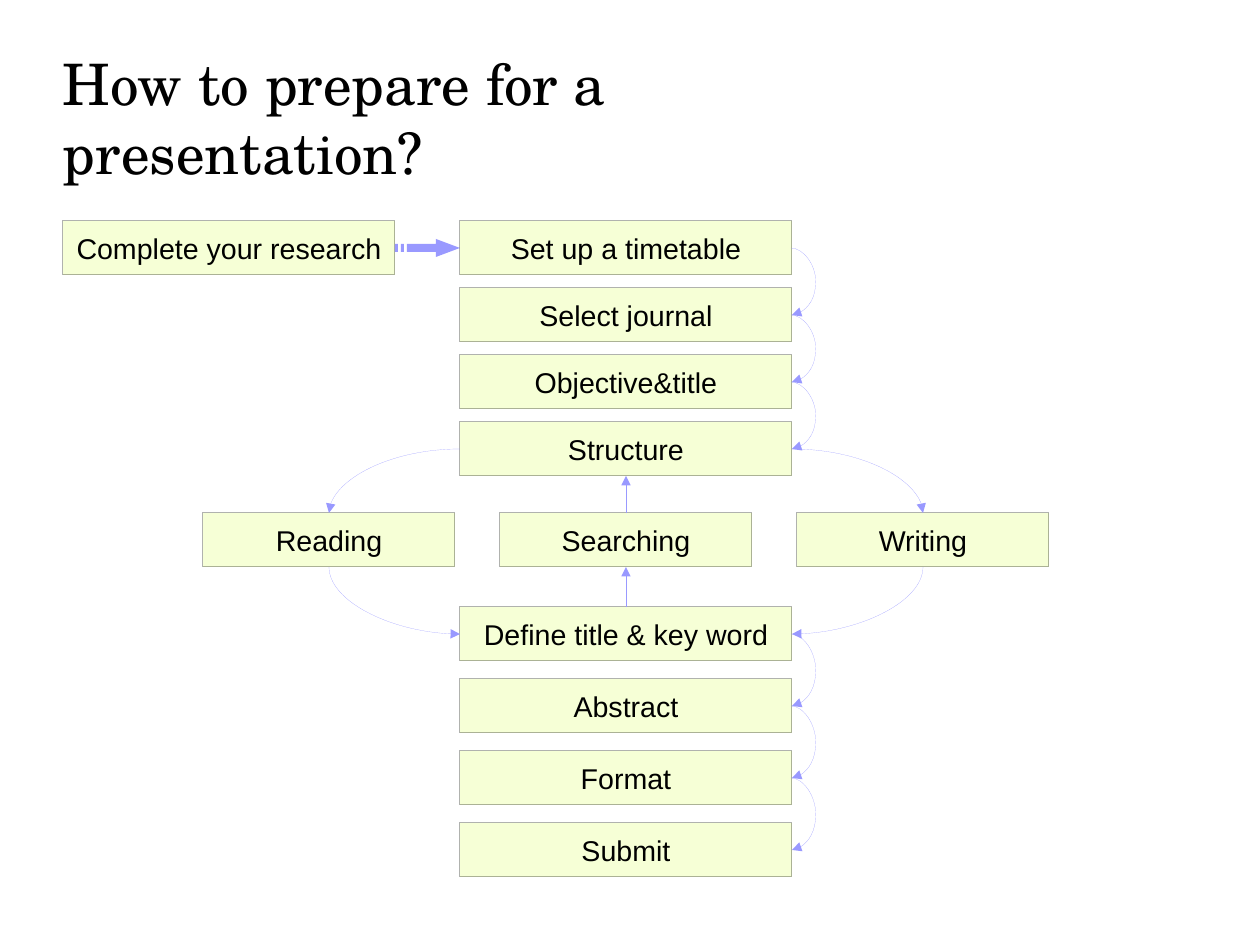
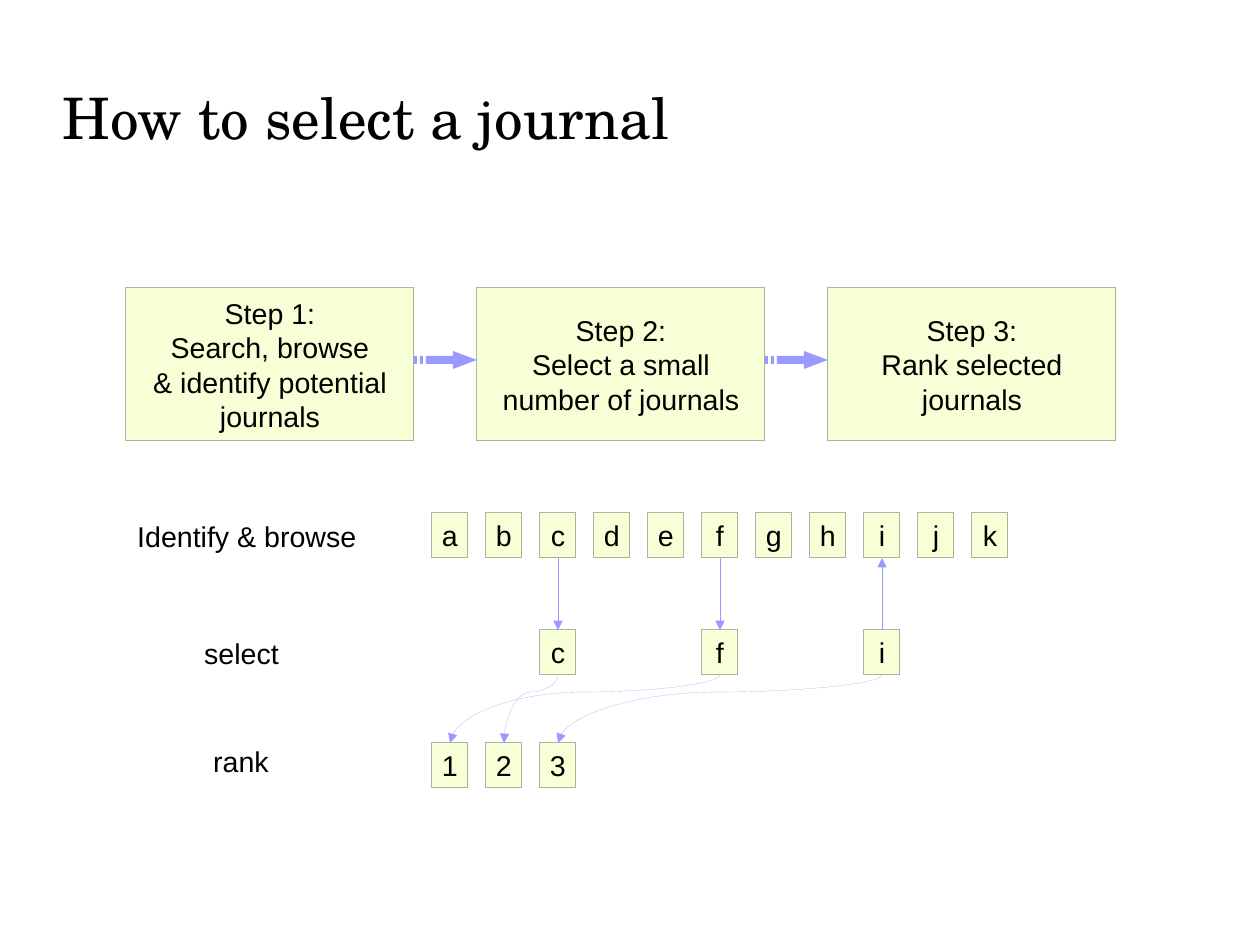
from itertools import pairwise

from lxml.etree import SubElement
from pptx import Presentation
from pptx.dml.color import RGBColor
from pptx.enum.shapes import MSO_CONNECTOR, MSO_SHAPE
from pptx.enum.text import MSO_ANCHOR, MSO_AUTO_SIZE, PP_ALIGN
from pptx.oxml.ns import qn
from pptx.util import Emu, Pt

SCALE = 8000
SLIDE_WIDTH, SLIDE_HEIGHT = 1260, 945
TITLE_LEFT, TITLE_MIDDLE, TITLE_WIDTH = 63, 117, 900
LIME, INK, LILAC = "CCFF00", "000000", "9999FF"
TITLE_FONT, BODY_FONT = "TeX Gyre Schola", "Arial"
TOP, LEFT, BOTTOM, RIGHT = range(4)


def px(length):
    """Turn px into EMU."""
    return Emu(round(length * SCALE))


def paint(fill, colour, opacity=100):
    """Fill with a hex colour at an opacity in percent."""
    fill.solid()
    fill.fore_color.rgb = RGBColor.from_string(colour)
    if opacity < 100:
        tint = fill._xPr.find(".//" + qn("a:srgbClr"))
        SubElement(tint, qn("a:alpha"), val=str(opacity * 1000))


def hairline(line, colour, opacity=100):
    """Draw a line as thin as the device allows."""
    paint(line.fill, colour, opacity)
    line._ln.set("w", "0")


def write(frame, text, font=BODY_FONT, size=18, align=PP_ALIGN.CENTER,
          anchor=MSO_ANCHOR.MIDDLE, wrap=False, inset=None, grow=False):
    """Write one paragraph per line of text and format it."""
    frame.text = text
    frame.word_wrap = wrap
    frame.vertical_anchor = anchor
    frame.auto_size = MSO_AUTO_SIZE.SHAPE_TO_FIT_TEXT if grow else MSO_AUTO_SIZE.NONE
    if inset is not None:
        frame.margin_left = frame.margin_right = px(inset)
        frame.margin_top = frame.margin_bottom = px(inset)
    for paragraph in frame.paragraphs:
        paragraph.alignment = align
        paragraph.font.name = font
        paragraph.font.size = Pt(size)
        paragraph.font.color.rgb = RGBColor.from_string(INK)


def titled_slide(deck, title, height):
    """Add a title-only slide with its title centred on the title line."""
    slide = deck.slides.add_slide(deck.slide_layouts[5])
    heading = slide.shapes.title
    heading.left, heading.top = px(TITLE_LEFT), px(TITLE_MIDDLE - height / 2)
    heading.width, heading.height = px(TITLE_WIDTH), px(height)
    write(heading.text_frame, title, font=TITLE_FONT, size=36, align=PP_ALIGN.LEFT,
          wrap=True, inset=0, grow=True)
    return slide


def process(slide, text, left, top, width, height):
    """Add a pale process box."""
    box = slide.shapes.add_shape(MSO_SHAPE.FLOWCHART_PROCESS, px(left), px(top),
                                 px(width), px(height))
    box.shadow.inherit = False
    paint(box.fill, LIME, 16)
    hairline(box.line, INK, 30)
    write(box.text_frame, text)
    return box


def label(slide, text, left, top, width, height):
    """Add a row label."""
    caption = slide.shapes.add_textbox(px(left), px(top), px(width), px(height))
    write(caption.text_frame, text, align=PP_ALIGN.LEFT, anchor=MSO_ANCHOR.TOP,
          wrap=True, grow=True)


def striped_arrow(slide, left, middle, width):
    """Add a right arrow, 18 px high, with two stripes at its tail."""
    neck = width - 24
    head = [(neck, -9), (width, 0), (neck, 9), (neck, 4), (12, 4), (12, -4), (neck, -4)]
    stripes = [[(x, -4), (x, 4), (x + 3, 4), (x + 3, -4)] for x in (0, 6)]
    builder = slide.shapes.build_freeform(*head[0], scale=float(SCALE))
    builder.add_line_segments(head[1:], close=True)
    for stripe in stripes:
        builder.move_to(*stripe[0])
        builder.add_line_segments(stripe[1:], close=True)
    arrow = builder.convert_to_shape(px(left), px(middle))
    arrow.shadow.inherit = False
    paint(arrow.fill, LILAC)
    arrow.line.fill.background()


def link(slide, start, start_side, end, end_side, kind=MSO_CONNECTOR.STRAIGHT):
    """Join two box sides with a hairline arrow."""
    connector = slide.shapes.add_connector(kind, 0, 0, 0, 0)
    connector.begin_connect(start, start_side)
    connector.end_connect(end, end_side)
    hairline(connector.line, LILAC)
    SubElement(connector.line._ln, qn("a:tailEnd"), type="triangle")
    SubElement(connector._element.spPr, qn("a:effectLst"))
    return connector


def bend(connector, preset, share=None):
    """Set the curve preset and the share of its width where it bends."""
    geometry = connector._element.spPr.find(qn("a:prstGeom"))
    geometry.set("prst", preset)
    if share is not None:
        guides = geometry.get_or_add_avLst()
        SubElement(guides, qn("a:gd"), name="adj1", fmla=f"val {round(share * 100000)}")


def orient(connector, rotation, flip_across, flip_down):
    """Set the rotation in degrees and the two flips."""
    frame = connector._element.spPr.find(qn("a:xfrm"))
    frame.set("rot", str(rotation * 60000))
    frame.set("flipH", str(int(flip_across)))
    frame.set("flipV", str(int(flip_down)))


def turn(connector):
    """Turn a curve a quarter so that it leaves its start vertically."""
    across = connector.end_x - connector.begin_x
    down = connector.end_y - connector.begin_y
    middle_x = (connector.begin_x + connector.end_x) // 2
    middle_y = (connector.begin_y + connector.end_y) // 2
    orient(connector, 90, down < 0, across > 0)
    connector.width, connector.height = Emu(abs(down)), Emu(abs(across))
    connector.left = Emu(middle_x - connector.width // 2)
    connector.top = Emu(middle_y - connector.height // 2)


def loop(slide, upper, lower):
    """Curve from the right side of one box to that of the box below."""
    connector = link(slide, upper, RIGHT, lower, RIGHT, MSO_CONNECTOR.CURVE)
    orient(connector, 0, False, False)
    connector.left = Emu(upper.left + upper.width - px(1))
    connector.width = px(1)
    bend(connector, "curvedConnector3", 25)


def quarter(slide, start, start_side, end, end_side):
    """Curve through a quarter turn."""
    connector = link(slide, start, start_side, end, end_side, MSO_CONNECTOR.CURVE)
    bend(connector, "curvedConnector2")
    if start_side in (TOP, BOTTOM):
        turn(connector)


def swerve(slide, upper, lower):
    """Curve down in an S from one box to another."""
    connector = link(slide, upper, BOTTOM, lower, TOP, MSO_CONNECTOR.CURVE)
    bend(connector, "curvedConnector3", 0.25)
    turn(connector)


def column(slide, texts, left, top, step, width, height):
    """Stack boxes and loop each to the next."""
    boxes = [process(slide, text, left, top + step * row, width, height)
             for row, text in enumerate(texts)]
    for upper, lower in pairwise(boxes):
        loop(slide, upper, lower)
    return boxes


def preparation_slide(deck):
    """Build the flow from research to submission."""
    slide = titled_slide(deck, "How to prepare for a presentation?", 156)
    width, height, left, top = 332, 54, 460, 221
    process(slide, "Complete your research", TITLE_LEFT, top, width, height)
    research_end = TITLE_LEFT + width
    striped_arrow(slide, research_end, top + height / 2, left - research_end)
    planning = column(slide, ["Set up a timetable", "Select journal", "Objective&title",
                              "Structure"], left, top, 67, width, height)
    reading, searching, writing = [
        process(slide, text, 203 + 297 * place, 513, 252, height)
        for place, text in enumerate(["Reading", "Searching", "Writing"])]
    drafting = column(slide, ["Define title & key word", "Abstract", "Format", "Submit"],
                      left, 607, 72, width, height)
    structure, define = planning[-1], drafting[0]
    quarter(slide, structure, LEFT, reading, TOP)
    quarter(slide, structure, RIGHT, writing, TOP)
    quarter(slide, reading, BOTTOM, define, LEFT)
    quarter(slide, writing, BOTTOM, define, RIGHT)
    link(slide, searching, TOP, structure, BOTTOM)
    link(slide, define, TOP, searching, BOTTOM)


def steps_band(slide, left, top, width, height, gap):
    """Place the three steps with arrows between them."""
    steps = ["Step 1:\nSearch, browse\n& identify potential\njournals",
             "Step 2:\nSelect a small\nnumber of journals",
             "Step 3:\nRank selected\njournals"]
    for place, text in enumerate(steps):
        step_left = left + (width + gap) * place
        process(slide, text, step_left, top, width, height)
        if place:
            striped_arrow(slide, step_left - gap, top + 72, gap)


def journal_row(slide, marks, top, places):
    """Place small boxes on the letter grid, keyed by their mark."""
    return {mark: process(slide, mark, 432 + 54 * place, top, 36, 45)
            for mark, place in zip(marks, places)}


def selection_slide(deck):
    """Build the three steps and the example with lettered journals."""
    slide = titled_slide(deck, "How to select a journal", 90)
    steps_band(slide, 126, 288, 288, 153, 63)
    label(slide, "Identify & browse", 126, 513, 250, 43)
    label(slide, "select", 193, 630, 110, 43)
    label(slide, "rank", 202, 738, 90, 43)
    found = journal_row(slide, "abcdefghijk", 513, range(11))
    selected = journal_row(slide, "cfi", 630, (2, 5, 8))
    ranked = journal_row(slide, "123", 743, range(3))
    for mark in "cf":
        link(slide, found[mark], BOTTOM, selected[mark], TOP)
    link(slide, selected["i"], TOP, found["i"], BOTTOM)
    for mark, rank in zip("cfi", "213"):
        swerve(slide, selected[mark], ranked[rank])


def main():
    """Build and save the deck."""
    deck = Presentation()
    deck.slide_width, deck.slide_height = px(SLIDE_WIDTH), px(SLIDE_HEIGHT)
    preparation_slide(deck)
    selection_slide(deck)
    deck.save("out.pptx")


if __name__ == "__main__":
    main()
